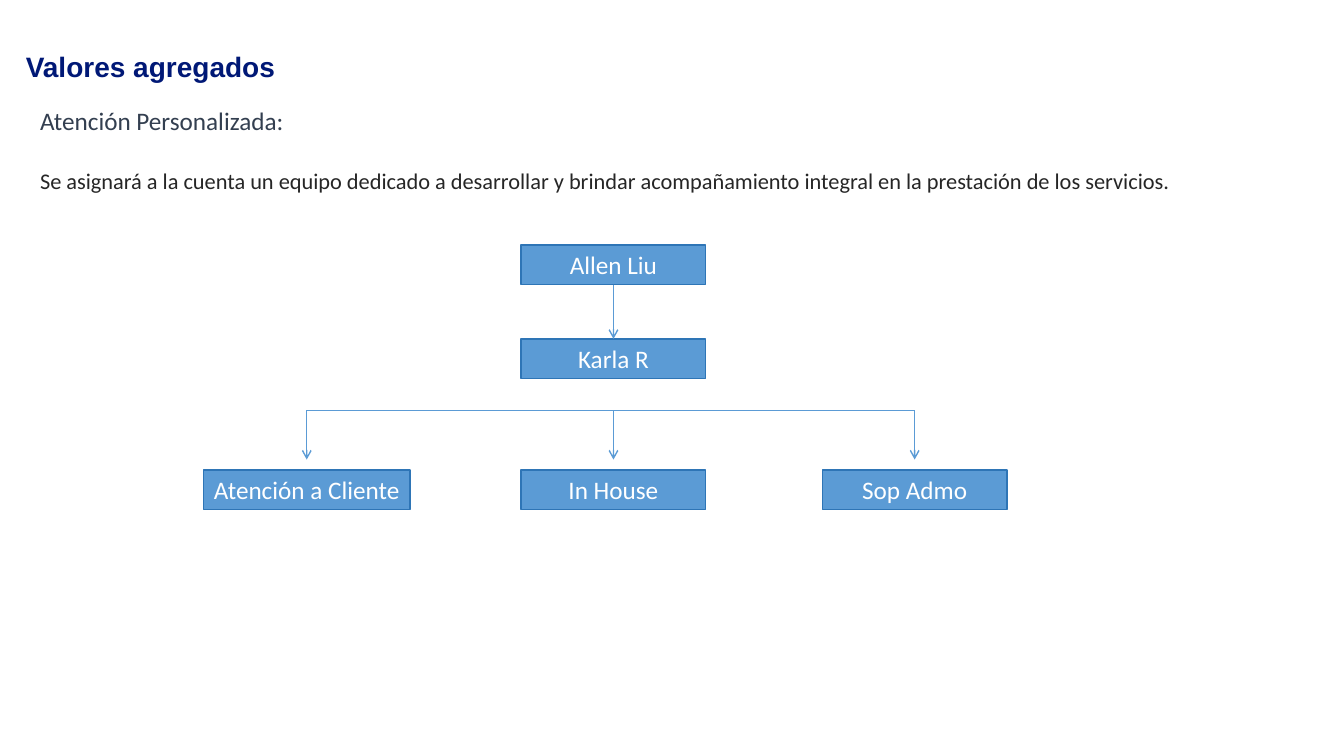
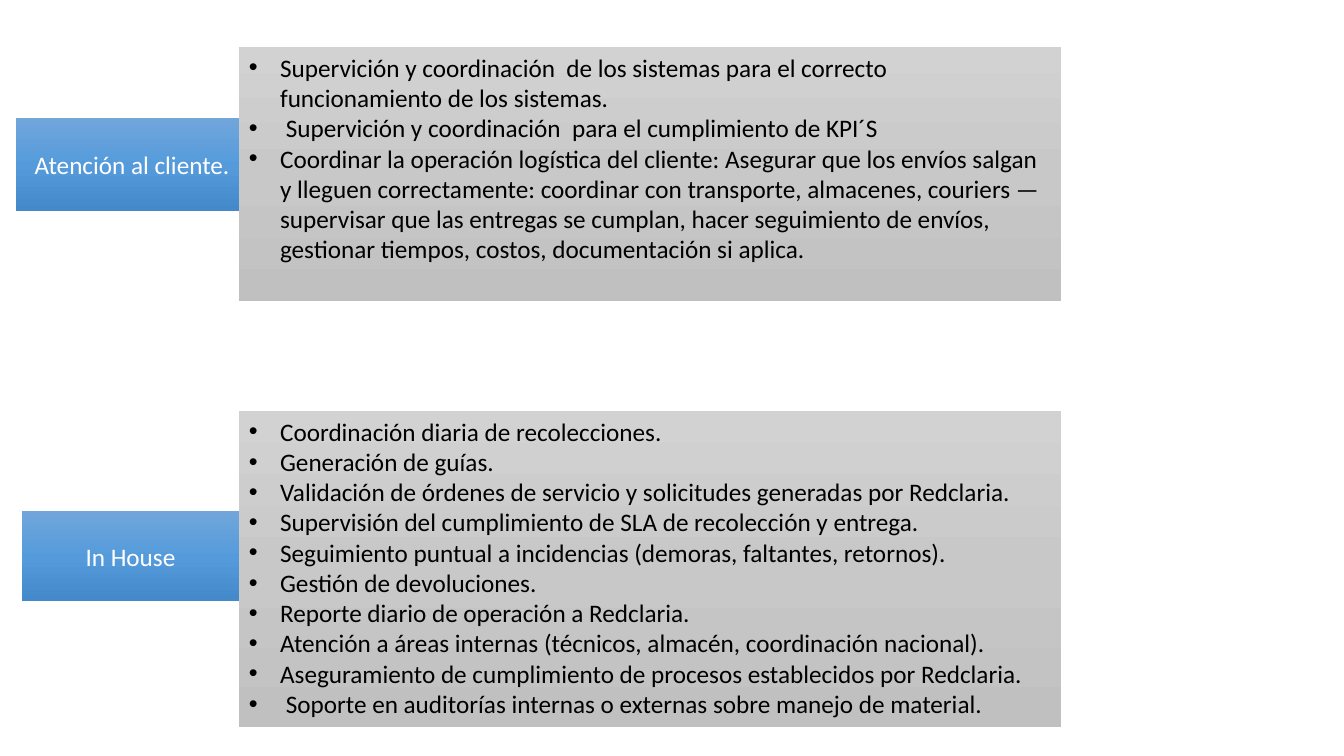
from copy import deepcopy

from lxml import etree
from pptx import Presentation
from pptx.dml.color import RGBColor
from pptx.enum import shapes, text
from pptx.oxml.ns import qn
from pptx.util import Cm, Pt

NAVY = RGBColor(0x00, 0x18, 0x76)
SLATE = RGBColor(0x33, 0x3F, 0x50)
CHARCOAL = RGBColor(0x26, 0x26, 0x26)
BLACK = RGBColor(0, 0, 0)
WHITE = RGBColor(0xFF, 0xFF, 0xFF)
BLUE = RGBColor(0x5B, 0x9B, 0xD5)
BLUE_EDGE = RGBColor(0x2E, 0x75, 0xB6)
BLUE_FADE = [RGBColor(0x71, 0xA6, 0xDB), RGBColor(0x55, 0x9B, 0xDB), RGBColor(0x44, 0x8A, 0xCA)]
GREY_FADE = [RGBColor(0xD2, 0xD2, 0xD2), RGBColor(0xC8, 0xC8, 0xC8), RGBColor(0xC0, 0xC0, 0xC0)]

BODY_FONT = "Calibri"
TITLE_FONT = "Arial"

# Organisation chart, in cm
BOX_W, BOX_H = 4.65, 1
LEAD_X = 15.46
LEADS = [("Allen Liu", 6.17), ("Karla R", 8.54)]
ROLES = [("Atención a Cliente", 7.73, 5.21), ("In House", LEAD_X, BOX_W), ("Sop Admo", 23.05, BOX_W)]
ROLE_TOP = 11.84
BAR_Y, ARROW_END_Y = 10.34, 11.58

# Duty panels, in cm
PANEL_LEFT, PANEL_W = 6.02, 20.73
BULLET_INDENT = 0.79

SERVICE_DUTIES = [
    "Supervición y coordinación  de los sistemas para el correcto funcionamiento de los sistemas.",
    " Supervición y coordinación  para el cumplimiento de KPI´S",
    "Coordinar la operación logística del cliente: Asegurar que los envíos salgan y lleguen "
    "correctamente: coordinar con transporte, almacenes, couriers — supervisar que las entregas "
    "se cumplan, hacer seguimiento de envíos, gestionar tiempos, costos, documentación si aplica.",
]
IN_HOUSE_DUTIES = [
    "Coordinación diaria de recolecciones.",
    "Generación de guías.",
    "Validación de órdenes de servicio y solicitudes generadas por Redclaria.",
    "Supervisión del cumplimiento de SLA de recolección y entrega.",
    "Seguimiento puntual a incidencias (demoras, faltantes, retornos).",
    "Gestión de devoluciones.",
    "Reporte diario de operación a Redclaria.",
    "Atención a áreas internas (técnicos, almacén, coordinación nacional).",
    "Aseguramiento de cumplimiento de procesos establecidos por Redclaria.",
    " Soporte en auditorías internas o externas sobre manejo de material.",
]


def add_text(paragraph, words, color, size=18, font=BODY_FONT, bold=False):
    run = paragraph.add_run()
    run.text = words
    run.font.name = font
    run.font.size = Pt(size)
    run.font.bold = bold
    run.font.color.rgb = color


def add_text_frame(slide, left, top, width, height):
    frame = slide.shapes.add_textbox(Cm(left), Cm(top), Cm(width), Cm(height)).text_frame
    frame.word_wrap = True
    return frame


def add_rectangle(slide, left, top, width, height):
    rectangle = slide.shapes.add_shape(
        shapes.MSO_SHAPE.RECTANGLE, Cm(left), Cm(top), Cm(width), Cm(height))
    rectangle.shadow.inherit = False
    rectangle.text_frame.word_wrap = True
    return rectangle


def add_caption(rectangle, words):
    """Centre white words inside a rectangle."""
    rectangle.text_frame.vertical_anchor = text.MSO_ANCHOR.MIDDLE
    paragraph = rectangle.text_frame.paragraphs[0]
    paragraph.alignment = text.PP_ALIGN.CENTER
    add_text(paragraph, words, WHITE)


def add_org_box(slide, words, center, top, width=BOX_W):
    box = add_rectangle(slide, center - width / 2, top, width, BOX_H)
    box.fill.solid()
    box.fill.fore_color.rgb = BLUE
    box.line.color.rgb = BLUE_EDGE
    box.line.width = Pt(1)
    add_caption(box, words)
    return box


def add_line(slide, x1, y1, x2, y2, arrow=True):
    line = slide.shapes.add_connector(
        shapes.MSO_CONNECTOR.STRAIGHT, Cm(x1), Cm(y1), Cm(x2), Cm(y2))
    line.line.color.rgb = BLUE
    line.line.width = Pt(1)
    properties = line._element.spPr
    if arrow:
        etree.SubElement(properties.find(qn("a:ln")), qn("a:tailEnd"), type="arrow")
    etree.SubElement(properties, qn("a:effectLst"))
    return line


def fade(rectangle, colors):
    """Fill a borderless rectangle with three colours from top to bottom."""
    rectangle.line.fill.background()
    rectangle.fill.gradient()
    rectangle.fill.gradient_angle = 270
    first_stop = rectangle._element.spPr.find(".//" + qn("a:gs"))
    first_stop.addnext(deepcopy(first_stop))
    for stop, color, position in zip(rectangle.fill.gradient_stops, colors, (0, 0.5, 1)):
        stop.color.rgb = color
        stop.position = position


def add_bullet(paragraph):
    properties = paragraph._p.get_or_add_pPr()
    properties.set("marL", str(Cm(BULLET_INDENT)))
    properties.set("indent", str(-Cm(BULLET_INDENT)))
    etree.SubElement(properties, qn("a:buFont"), typeface="Arial")
    etree.SubElement(properties, qn("a:buChar"), char="•")


def add_label(slide, words, left, top, width, height):
    label = add_rectangle(slide, left, top, width, height)
    fade(label, BLUE_FADE)
    add_caption(label, words)


def add_duty_panel(slide, duties, top, height):
    panel = add_rectangle(slide, PANEL_LEFT, top, PANEL_W, height)
    fade(panel, GREY_FADE)
    frame = panel.text_frame
    frame.vertical_anchor = text.MSO_ANCHOR.TOP
    for index, duty in enumerate(duties):
        paragraph = frame.add_paragraph() if index else frame.paragraphs[0]
        paragraph.alignment = text.PP_ALIGN.LEFT
        add_bullet(paragraph)
        add_text(paragraph, duty, BLACK)


def build_team_slide(slide):
    title = add_text_frame(slide, 0.4, 1.12, 9, 1.42)
    add_text(title.paragraphs[0], "Valores agregados", NAVY, 20, TITLE_FONT, bold=True)

    intro = add_text_frame(slide, 0.76, 2.54, 29.36, 3.25)
    add_text(intro.paragraphs[0], "Atención Personalizada:", SLATE)
    promise = intro.add_paragraph()
    promise.space_before = Pt(22)
    add_text(promise, "Se asignará a la cuenta un equipo dedicado a desarrollar y brindar "
             "acompañamiento integral en la prestación de los servicios.", CHARCOAL, 16)

    director, manager = [add_org_box(slide, name, LEAD_X, top) for name, top in LEADS]
    report = add_line(slide, LEAD_X, LEADS[0][1] + BOX_H, LEAD_X, LEADS[1][1])
    report.begin_connect(director, 2)
    report.end_connect(manager, 0)

    for role, center, width in ROLES:
        add_org_box(slide, role, center, ROLE_TOP, width)
        add_line(slide, center, BAR_Y, center, ARROW_END_Y)
    add_line(slide, ROLES[0][1], BAR_Y, ROLES[-1][1], BAR_Y, arrow=False)


def build_duties_slide(slide):
    add_label(slide, "Atención al cliente.", 0.41, 2.97, 5.84, 2.34)
    add_duty_panel(slide, SERVICE_DUTIES, 1.19, 6.4)
    add_label(slide, "In House", 0.56, 12.88, 5.46, 2.26)
    add_duty_panel(slide, IN_HOUSE_DUTIES, 10.36, 7.95)


def main():
    deck = Presentation()
    deck.slide_width, deck.slide_height = Cm(33.87), Cm(19.05)
    for build in (build_team_slide, build_duties_slide):
        build(deck.slides.add_slide(deck.slide_layouts[6]))
    deck.save("out.pptx")


if __name__ == "__main__":
    main()
